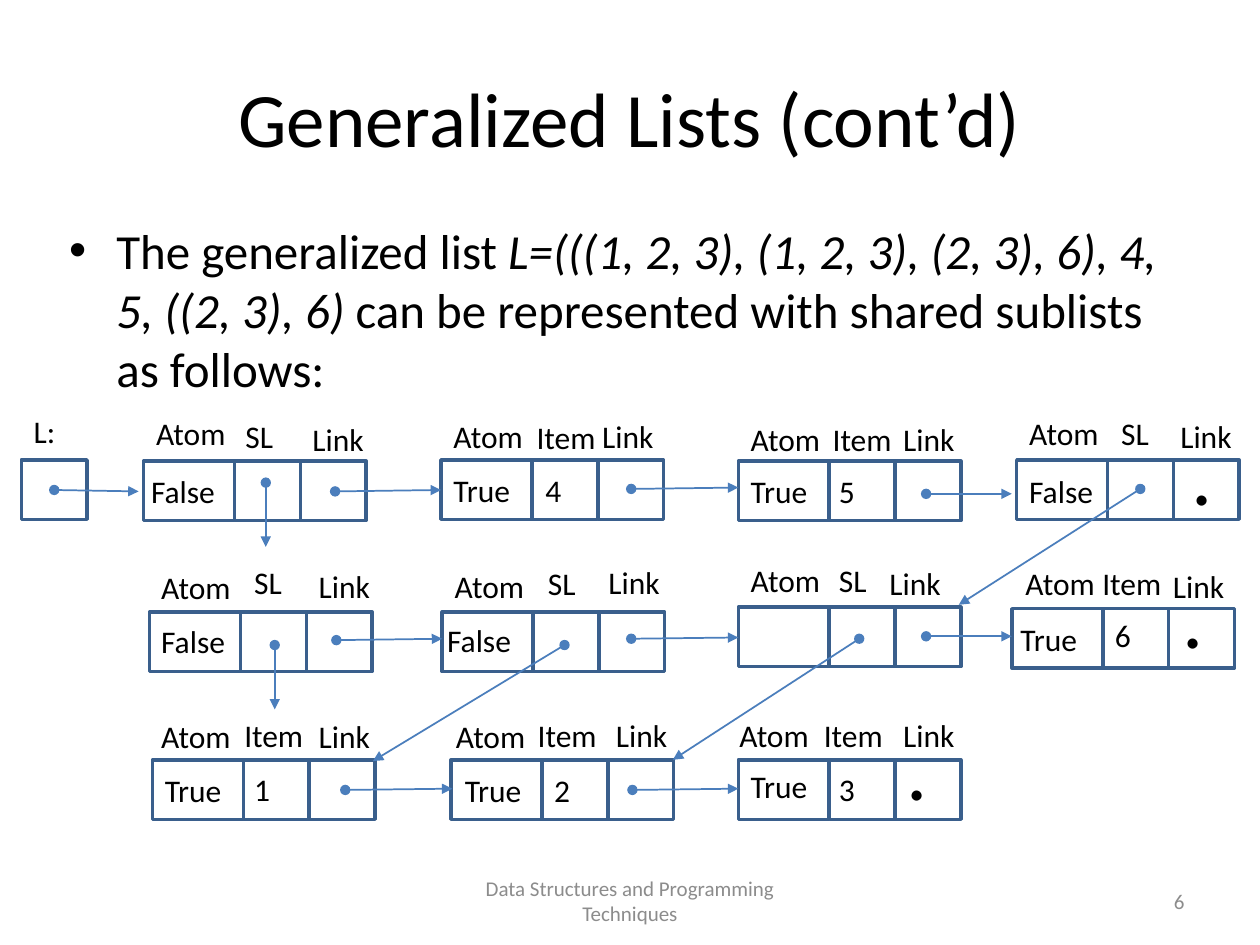
"""Builds a slide showing a generalized list with shared sublists."""
from lxml import etree
from pptx import Presentation, util as u
from pptx.dml.color import RGBColor
from pptx.enum import shapes, text
from pptx.oxml.ns import qn

COLORS = {"text": "000000", "muted": "8C8C8C", "box": "3A5F8C", "arrow": "4B7EBC"}
FONT = "Calibri"
ATOM_W, CELL_W, CELL_H = 52, 37.6, 34
SIZES = {".": (36, 65.5, 48), "SL": (36, 29, 18), "L:": (36, 29, 18)}

NODES = [
    (82.1, 263.5, [("Atom", 82.1, 233.3), ("SL", 133.2, 234.7), ("Link", 171.4, 236.2),
                   ("False", 79.2, 266.4)]),
    (252, 262.8, [("Atom", 252, 234.7), ("Item", 299.5, 235.4), ("Link", 337, 234.7),
                  ("True", 252, 265.7), ("4", 304.6, 265.7)]),
    (421.9, 263.5, [("Atom", 421.9, 236.2), ("Item", 468.7, 236.2), ("Link", 509, 236.2),
                    ("True", 421.9, 266.4), ("5", 472.3, 266.4)]),
    (581, 262.8, [("Atom", 581, 233.3), ("SL", 633.6, 233.3), ("Link", 667.4, 234.7),
                  ("False", 581, 266.4), (".", 673.9, 237.6)]),
    (85.5, 349.7, [("Atom", 85, 321.1), ("SL", 138.2, 318.2), ("Link", 175, 320.4),
                   ("False", 85, 352.1)]),
    (252.7, 349.7, [("Atom", 252.7, 320.4), ("SL", 306, 319), ("Link", 340.6, 318.2),
                    ("False", 248.4, 351.4)]),
    (421.9, 347, [("Atom", 421.9, 316.8), ("SL", 472.3, 316.8), ("Link", 501.1, 319)]),
    (578.2, 347.8, [("Atom", 578.9, 319), ("Item", 622.8, 319), ("Link", 663.1, 320.4),
                    ("True", 576, 350.6), ("6", 630, 348.5), (".", 668.9, 319)]),
    (87.1, 434.2, [("Atom", 85, 406.1), ("Item", 132.5, 405.4), ("Link", 175, 406.1),
                   ("True", 87.1, 437), ("1", 138.2, 436.3)]),
    (257.8, 434.2, [("Atom", 253.4, 406.1), ("Item", 300.2, 405.4), ("Link", 344.9, 405.4),
                    ("True", 258.5, 437), ("2", 309.6, 437)]),
    (421.9, 434.2, [("Atom", 415.4, 405.4), ("Item", 463.7, 405.4), ("Link", 509, 405.4),
                    ("True", 421.9, 434.9), ("3", 472.3, 436.3), (".", 511.2, 406.1)]),
]

ARROWS = [
    (31, 280, 79.2, 280.8), (191.5, 280.8, 252, 280), (360.7, 279.4, 421.9, 278.6),
    (529.2, 282.2, 578.2, 282.2), (151.9, 275.8, 151.9, 312.5),
    (192.2, 365.8, 252.7, 365), (360.7, 365, 421.9, 364.3), (529.2, 363.6, 578.2, 363.6),
    (157, 368.6, 157, 405.4), (197.3, 451.4, 258.5, 450.7), (361.4, 451.4, 421.9, 450.7),
    (651.6, 279.4, 547.9, 345.6), (322.6, 368.6, 213.1, 434.9), (491, 365, 384.5, 434.2),
]


def rgb(name):
    return RGBColor.from_string(COLORS[name])


def add_text(s, content, x, y, w, h, size=18, color="text", align="LEFT",
             anchor="TOP", grow=False, bullet=False):
    sp = s.shapes.add_textbox(u.Pt(x), u.Pt(y), u.Pt(w), u.Pt(h))
    tf = sp.text_frame
    tf.word_wrap = True
    tf.auto_size = text.MSO_AUTO_SIZE.SHAPE_TO_FIT_TEXT if grow else text.MSO_AUTO_SIZE.NONE
    tf.vertical_anchor = text.MSO_ANCHOR[anchor]
    p = tf.paragraphs[0]
    p.alignment = text.PP_ALIGN[align]
    runs = [(content, False)] if isinstance(content, str) else content
    for words, italic in runs:
        r = p.add_run()
        r.text = words
        r.font.name, r.font.size, r.font.italic = FONT, u.Pt(size), italic
        r.font.color.rgb = rgb(color)
    if bullet:
        p.space_before = u.Pt(size * 0.2)
        pr = p._p.get_or_add_pPr()
        pr.set("marL", str(u.Pt(27)))
        pr.set("indent", str(-u.Pt(27)))
        etree.SubElement(pr, qn("a:buFont")).set("typeface", "Arial")
        etree.SubElement(pr, qn("a:buChar")).set("char", "•")


def add_label(s, words, x, y):
    narrow = (36, 29, 18) if words.isdigit() else (57, 29, 18)
    w, h, size = SIZES.get(words, narrow)
    add_text(s, words, x, y, w, h, size=size, grow=True)


def add_cell(s, x, y, w):
    sp = s.shapes.add_shape(shapes.MSO_SHAPE.RECTANGLE, u.Pt(x), u.Pt(y), u.Pt(w), u.Pt(CELL_H))
    sp.shadow.inherit = False
    sp.fill.background()
    sp.line.color.rgb = rgb("box")
    sp.line.width = u.Pt(2)


def add_node(s, x, y, labels):
    for left, w in ((0, ATOM_W), (ATOM_W, CELL_W), (ATOM_W + CELL_W, CELL_W)):
        add_cell(s, x + left, y, w)
    for label in labels:
        add_label(s, *label)


def add_arrow(s, *ends):
    cx = s.shapes.add_connector(shapes.MSO_CONNECTOR.STRAIGHT, *map(u.Pt, ends))
    cx.line.color.rgb = rgb("arrow")
    cx.line.width = u.Pt(1)
    ln = cx.line._get_or_add_ln()
    for tag, kind in (("a:headEnd", "oval"), ("a:tailEnd", "triangle")):
        etree.SubElement(ln, qn(tag)).set("type", kind)
    etree.SubElement(cx._element.spPr, qn("a:effectLst"))


def main():
    prs = Presentation()
    prs.slide_width, prs.slide_height = u.Pt(720), u.Pt(540)
    s = prs.slides.add_slide(prs.slide_layouts[6])
    add_text(s, "Generalized Lists (cont’d)", 36, 21.6, 648, 90, size=44,
             align="CENTER", anchor="MIDDLE")
    add_text(s, [("The generalized list ", False),
                 ("L=(((1, 2, 3), (1, 2, 3), (2, 3), 6), 4, 5, ((2, 3), 6) ", True),
                 ("can be represented with shared sublists as follows:", False)],
             32.4, 122.4, 648, 356.4, size=28, bullet=True)
    add_cell(s, 12.2, 262.8, CELL_W)
    add_label(s, "L:", 12.2, 231.8)
    for node in NODES:
        add_node(s, *node)
    for arrow in ARROWS:
        add_arrow(s, *arrow)
    add_text(s, "Data Structures and Programming Techniques", 246, 500.4, 228, 28.8,
             size=12, color="muted", align="CENTER", anchor="MIDDLE")
    add_text(s, "6", 516, 500.4, 168, 28.8, size=12, color="muted",
             align="RIGHT", anchor="MIDDLE")
    prs.save("out.pptx")


main()
